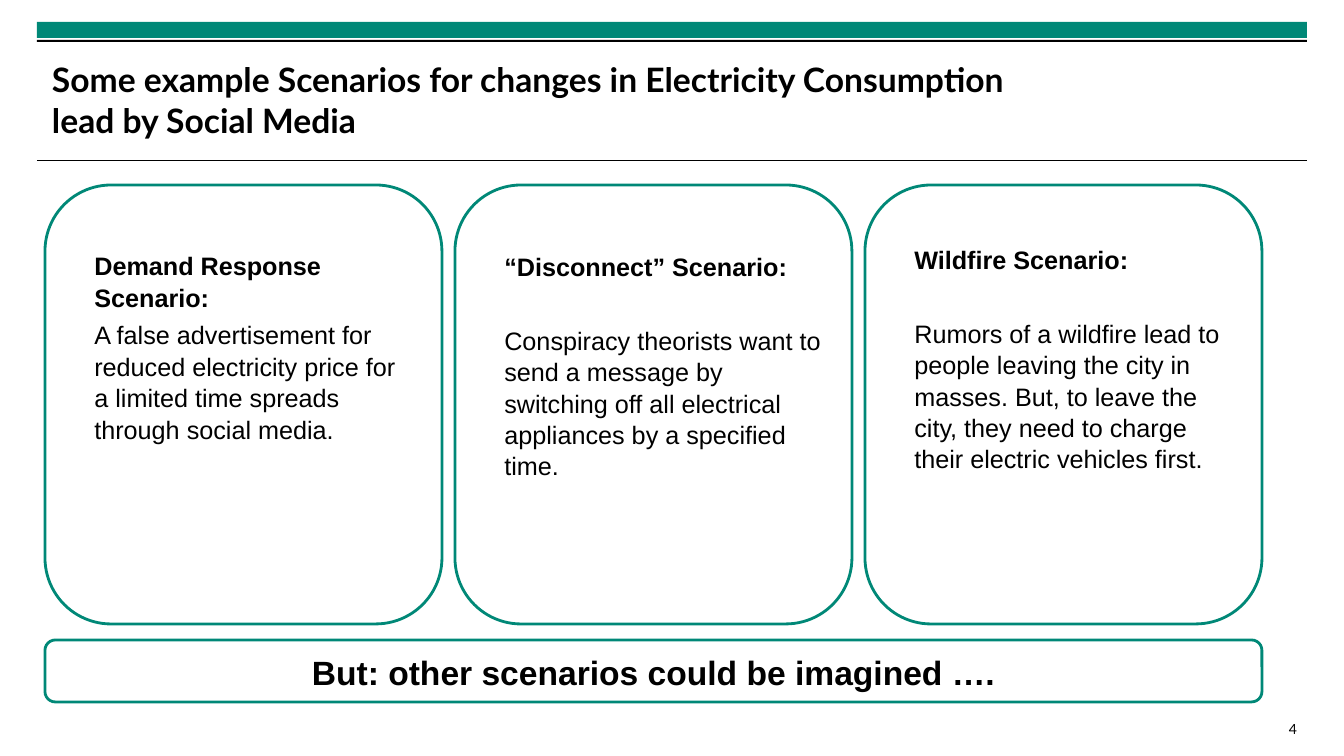
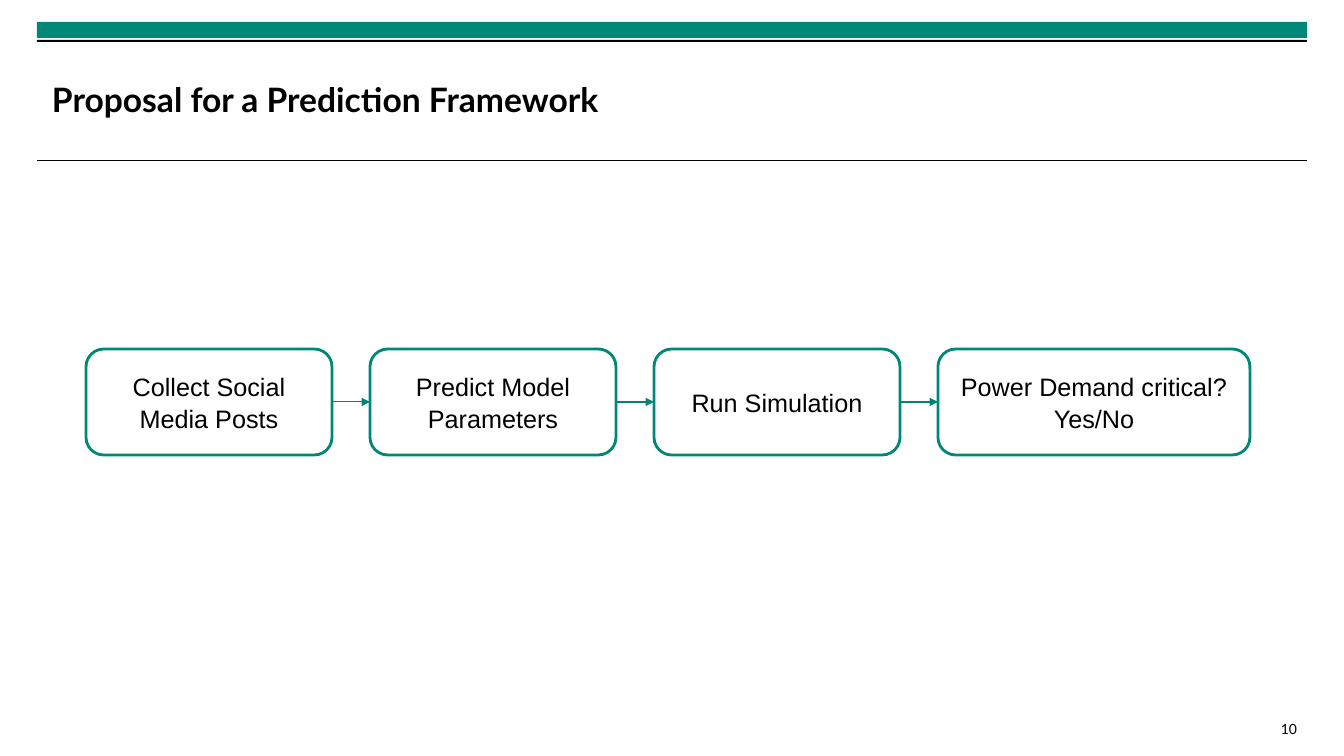
from lxml import etree
from pptx import Presentation
from pptx import util as u
from pptx.dml.color import RGBColor
from pptx.enum import shapes, text
from pptx.oxml import ns

PX = 12192000 / 1344
GREEN = RGBColor(0x00, 0x88, 0x77)
ARROW_GREEN = RGBColor(0x00, 0x85, 0x74)
BLACK = RGBColor(0, 0, 0)
WHITE = RGBColor(255, 255, 255)
HEADING_FONT, BODY_FONT = "Lato", "Arial"
FRAME_LEFT, FRAME_WIDTH = 37, 1270

SCENARIOS = [
    ("Demand Response Scenario:",
     "A false advertisement for reduced electricity price for a limited time "
     "spreads through social media.", 45, 4.5),
    ("“Disconnect” Scenario:",
     "Conspiracy theorists want to send a message by switching off all "
     "electrical appliances by a specified time.", 46, 30),
    ("Wildfire Scenario:",
     "Rumors of a wildfire lead to people leaving the city in masses. But, to "
     "leave the city, they need to charge their electric vehicles first.", 39, 30),
]
STEPS = [
    (["Collect Social Media Posts"], 246),
    (["Predict Model Parameters"], 246),
    (["Run Simulation"], 246),
    (["Power Demand critical?", "Yes/No"], 312),
]


def px(length):
    """Turn px into EMU."""
    return u.Emu(round(length * PX))


def write(shape, paragraphs, size=18, font=BODY_FONT, bold=(), after=0, spacing=1.04,
          align=text.PP_ALIGN.CENTER, anchor=text.MSO_ANCHOR.MIDDLE, margins=(10, 5, 10, 5)):
    """Fill a shape with paragraphs; bold holds the indexes of the bold ones."""
    frame = shape.text_frame
    frame.word_wrap = True
    frame.vertical_anchor = anchor
    (frame.margin_left, frame.margin_top,
     frame.margin_right, frame.margin_bottom) = map(px, margins)
    for index, words in enumerate(paragraphs):
        paragraph = frame.paragraphs[0] if index == 0 else frame.add_paragraph()
        paragraph.alignment = align
        paragraph.line_spacing = spacing
        paragraph.space_after = u.Pt(after if index < len(paragraphs) - 1 else 0)
        run = paragraph.add_run()
        run.text = words
        run.font.size = u.Pt(size)
        run.font.name = font
        run.font.bold = index in bold
        run.font.color.rgb = BLACK


def add_label(slide, words, left, top, width, height, **style):
    """Add a text box with one paragraph."""
    label = slide.shapes.add_textbox(px(left), px(top), px(width), px(height))
    write(label, [words], font=HEADING_FONT, spacing=1.0, **style)


def add_band(slide, top, height, color):
    """Add a solid band across the frame."""
    band = slide.shapes.add_shape(shapes.MSO_SHAPE.RECTANGLE, px(FRAME_LEFT), px(top),
                                  px(FRAME_WIDTH), px(height))
    band.shadow.inherit = False
    band.fill.solid()
    band.fill.fore_color.rgb = color
    band.line.fill.background()


def add_panel(slide, left, top, width, height):
    """Add a white rounded panel with a green outline."""
    panel = slide.shapes.add_shape(shapes.MSO_SHAPE.ROUNDED_RECTANGLE, px(left), px(top),
                                   px(width), px(height))
    panel.shadow.inherit = False
    panel.fill.solid()
    panel.fill.fore_color.rgb = WHITE
    panel.line.color.rgb = GREEN
    panel.line.width = u.Pt(2)
    return panel


def add_line(slide, start, end, color, weight):
    """Add a straight line without a shadow."""
    line = slide.shapes.add_connector(shapes.MSO_CONNECTOR.STRAIGHT,
                                      *map(px, (*start, *end)))
    line.line.color.rgb = color
    line.line.width = u.Pt(weight)
    etree.SubElement(line._element.spPr, ns.qn("a:effectLst"))
    return line


def add_arrow(slide, source, target, weight):
    """Join the right side of one panel to the left side of the next."""
    arrow = add_line(slide, (0, 0), (0, 0), ARROW_GREEN, weight)
    arrow.begin_connect(source, 3)
    arrow.end_connect(target, 1)
    etree.SubElement(arrow.line._get_or_add_ln(), ns.qn("a:tailEnd"), type="triangle")


def add_framed_slide(deck, title, number):
    """Add a slide with the shared bands, title, rule and page number."""
    slide = deck.slides.add_slide(deck.slide_layouts[6])
    add_band(slide, 22, 16, GREEN)
    add_band(slide, 40, 2, BLACK)
    add_line(slide, (FRAME_LEFT, 160), (FRAME_LEFT + FRAME_WIDTH, 160), BLACK, 0.6)
    add_label(slide, title, 52, 53, 977, 93, size=24, bold=(0,),
              align=text.PP_ALIGN.LEFT, margins=(0, 0, 0, 0))
    add_label(slide, str(number), 249, 716, 1058, 25, size=10,
              align=text.PP_ALIGN.RIGHT, anchor=text.MSO_ANCHOR.TOP)
    return slide


def add_scenario_cards(slide, left, top, width, height, gap=13):
    """Share a box evenly between the scenario cards."""
    card_width = (width - gap * (len(SCENARIOS) - 1)) // len(SCENARIOS)
    for column, (heading, story, inset, after) in enumerate(SCENARIOS):
        card = add_panel(slide, left + column * (card_width + gap), top, card_width, height)
        write(card, [heading, story], bold=(0,), after=after, align=text.PP_ALIGN.LEFT,
              anchor=text.MSO_ANCHOR.TOP, margins=(30, inset, 10, 5))


def add_process(slide, left, top, height, gap=38):
    """Lay the steps out in a row and join them with arrows."""
    previous = None
    for index, (words, width) in enumerate(STEPS):
        step = add_panel(slide, left, top, width, height)
        write(step, words)
        if previous is not None:
            add_arrow(slide, previous, step, 0.75 if index == 1 else 1)
        previous = step
        left += width + gap


def build_scenarios(deck):
    """Build the slide of example scenarios."""
    slide = add_framed_slide(deck, "Some example Scenarios for changes in Electricity "
                                   "Consumption lead by Social Media", 4)
    add_scenario_cards(slide, 45, 185, 1217, 439)
    conclusion = add_panel(slide, 45, 640, 1217, 62)
    write(conclusion, ["But: other scenarios could be imagined …."], size=24, bold=(0,))


def build_framework(deck):
    """Build the slide of the prediction framework."""
    slide = add_framed_slide(deck, "Proposal for a Prediction Framework", 10)
    add_process(slide, 86, 349, 106)


def main():
    """Build and save the deck."""
    deck = Presentation()
    deck.slide_width, deck.slide_height = px(1344), px(756)
    build_scenarios(deck)
    build_framework(deck)
    deck.save("out.pptx")


if __name__ == "__main__":
    main()
